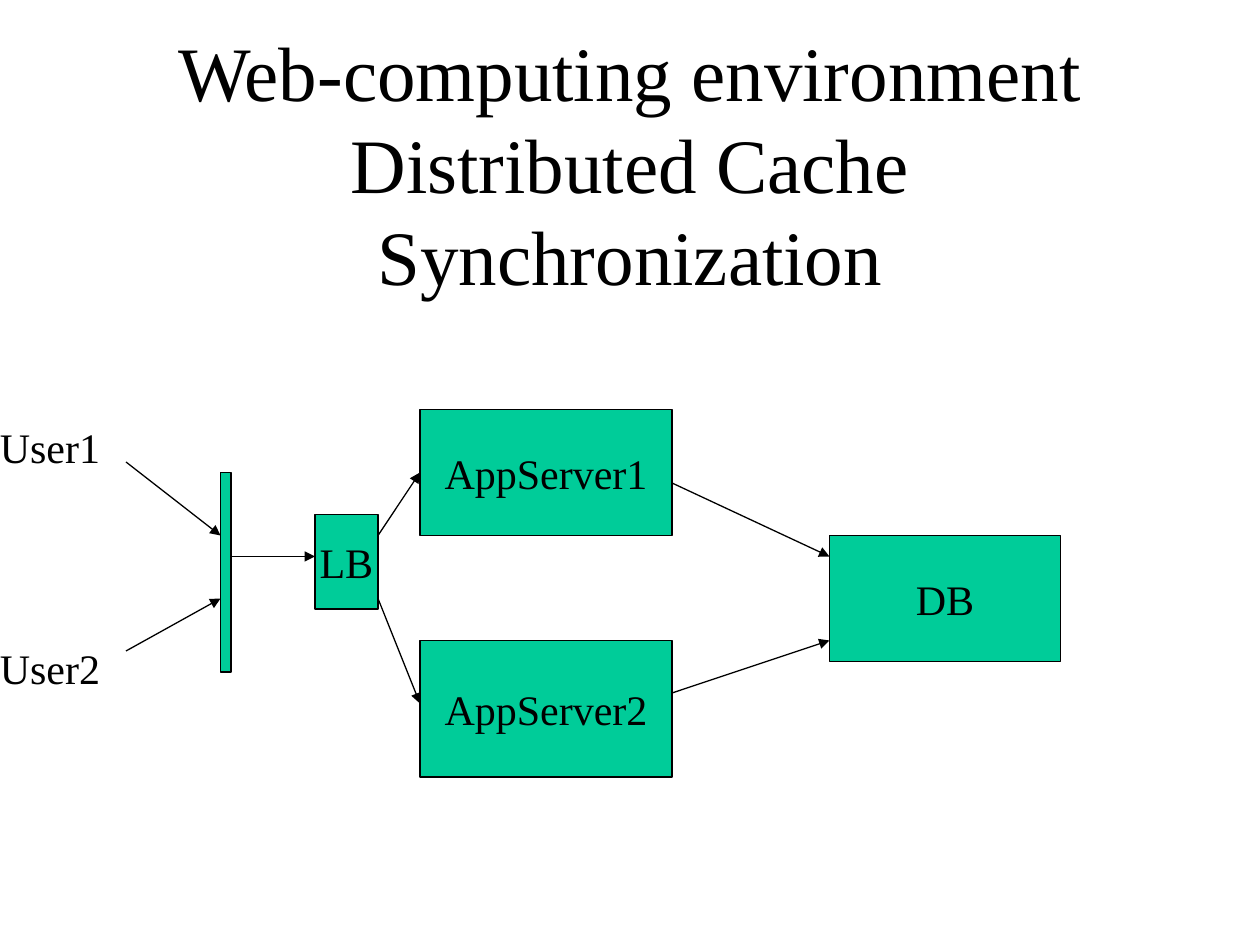
from lxml.etree import SubElement
from pptx import Presentation
from pptx.dml.color import RGBColor
from pptx.enum.shapes import MSO_CONNECTOR, MSO_SHAPE
from pptx.enum.text import MSO_ANCHOR, MSO_AUTO_SIZE, PP_ALIGN
from pptx.oxml.ns import qn
from pptx.util import Inches, Pt

COLORS = {"ink": "000000", "box": "00CC99", "page": "FFFFFF"}
FONT = "Times New Roman"
LINE_WIDTH = Pt(0.75)
LEFT_SIDE = 1

# All places are in grid cells of a twelfth of an inch
CELL = Inches(1) / 12
TITLE = "Web-computing environment Distributed Cache Synchronization"
TITLE_AREA = (9, 8, 102, 15)
BOXES = [
    ("AppServer1", (40, 39, 24, 12)),
    ("AppServer2", (40, 61, 24, 13)),
    ("", (21, 45, 1, 19)),
    ("DB", (79, 51, 22, 12)),
    ("LB", (30, 49, 6, 9)),
]
USERS = [("User1", 39.6), ("User2", 60.6)]
USER_LEFT, USER_WIDTH, USER_HEIGHT = -1.2, 12.04, 6
# Start, end, and the box whose left middle the arrow is joined to
ARROWS = [
    ((12, 44), (21, 51), None),
    ((12, 62), (21, 57), None),
    ((22, 53), (30, 53), None),
    ((36, 51), (40, 45), "AppServer1"),
    ((36, 57), (40, 67), None),
    ((64, 46), (79, 53), None),
    ((64, 66), (79, 61), None),
]


def cells(*counts):
    return [round(count * CELL) for count in counts]


def color(name):
    return RGBColor.from_string(COLORS[name])


def write(shape, text, size=24, align=PP_ALIGN.CENTER, anchor=MSO_ANCHOR.MIDDLE,
          wrap=False, fit=MSO_AUTO_SIZE.NONE):
    frame = shape.text_frame
    frame.word_wrap = wrap
    frame.auto_size = fit
    frame.vertical_anchor = anchor
    para = frame.paragraphs[0]
    para.alignment = align
    span = para.add_run()
    span.text = text
    span.font.name = FONT
    span.font.size = Pt(size)
    span.font.color.rgb = color("ink")


def add_box(page, text, area):
    box = page.shapes.add_shape(MSO_SHAPE.RECTANGLE, *cells(*area))
    box.shadow.inherit = False
    box.fill.solid()
    box.fill.fore_color.rgb = color("box")
    box.line.color.rgb = color("ink")
    box.line.width = LINE_WIDTH
    if text:
        write(box, text)
    return box


def add_arrow(page, start, end, target=None):
    arrow = page.shapes.add_connector(MSO_CONNECTOR.STRAIGHT, *cells(*start, *end))
    arrow.line.color.rgb = color("ink")
    arrow.line.width = LINE_WIDTH
    SubElement(arrow.line._get_or_add_ln(), qn("a:tailEnd"), type="triangle")
    SubElement(arrow._element.spPr, qn("a:effectLst"))
    if target is not None:
        arrow.end_connect(target, LEFT_SIDE)


def main():
    deck = Presentation()
    deck.slide_width, deck.slide_height = Inches(10), Inches(7.5)
    page = deck.slides.add_slide(deck.slide_layouts[5])
    page.background.fill.solid()
    page.background.fill.fore_color.rgb = color("page")

    # Title
    title = page.shapes.title
    title.left, title.top, title.width, title.height = cells(*TITLE_AREA)
    write(title, TITLE, size=44, wrap=True)

    # Servers, load balancer, gateway bar and database
    boxes = {text: add_box(page, text, area) for text, area in BOXES}

    # Users
    for text, top in USERS:
        label = page.shapes.add_textbox(*cells(USER_LEFT, top, USER_WIDTH, USER_HEIGHT))
        write(label, text, align=PP_ALIGN.LEFT, anchor=MSO_ANCHOR.TOP,
              fit=MSO_AUTO_SIZE.SHAPE_TO_FIT_TEXT)

    # Request flow
    for start, end, target in ARROWS:
        add_arrow(page, start, end, boxes.get(target))

    deck.save("out.pptx")


if __name__ == "__main__":
    main()
